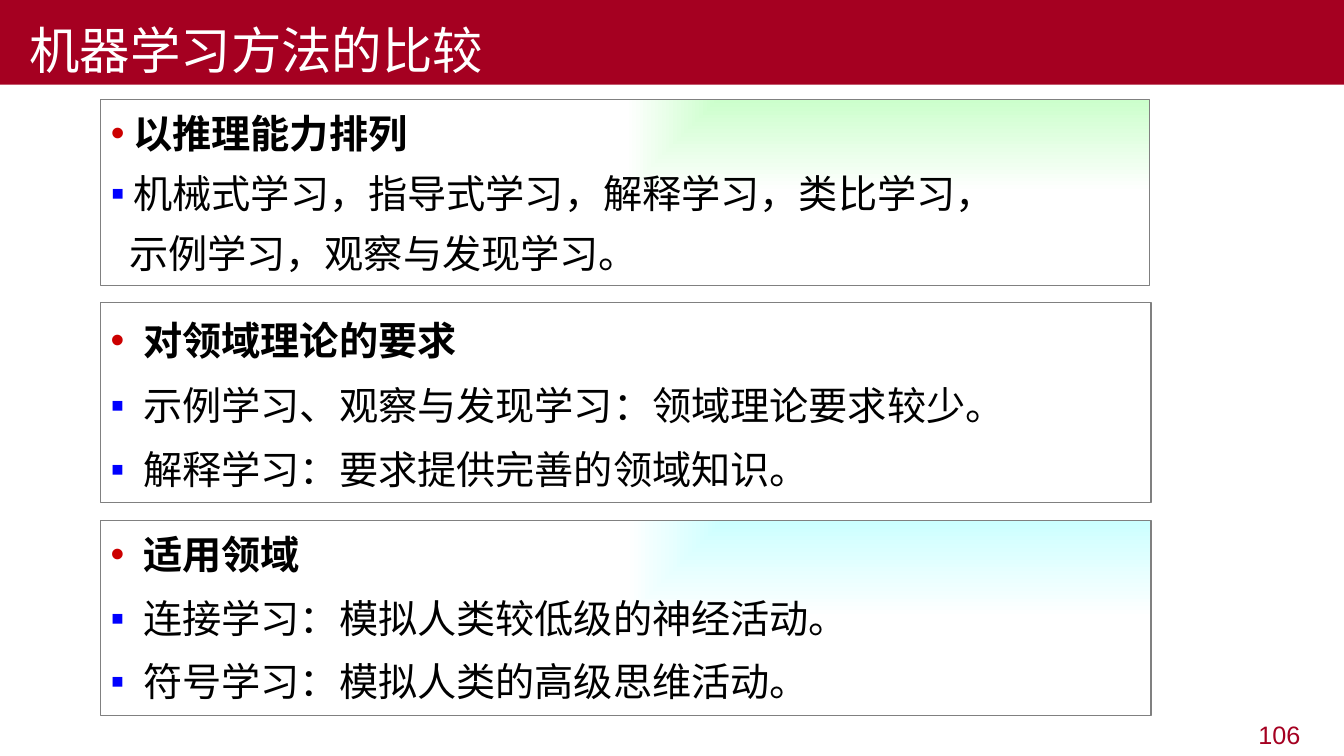
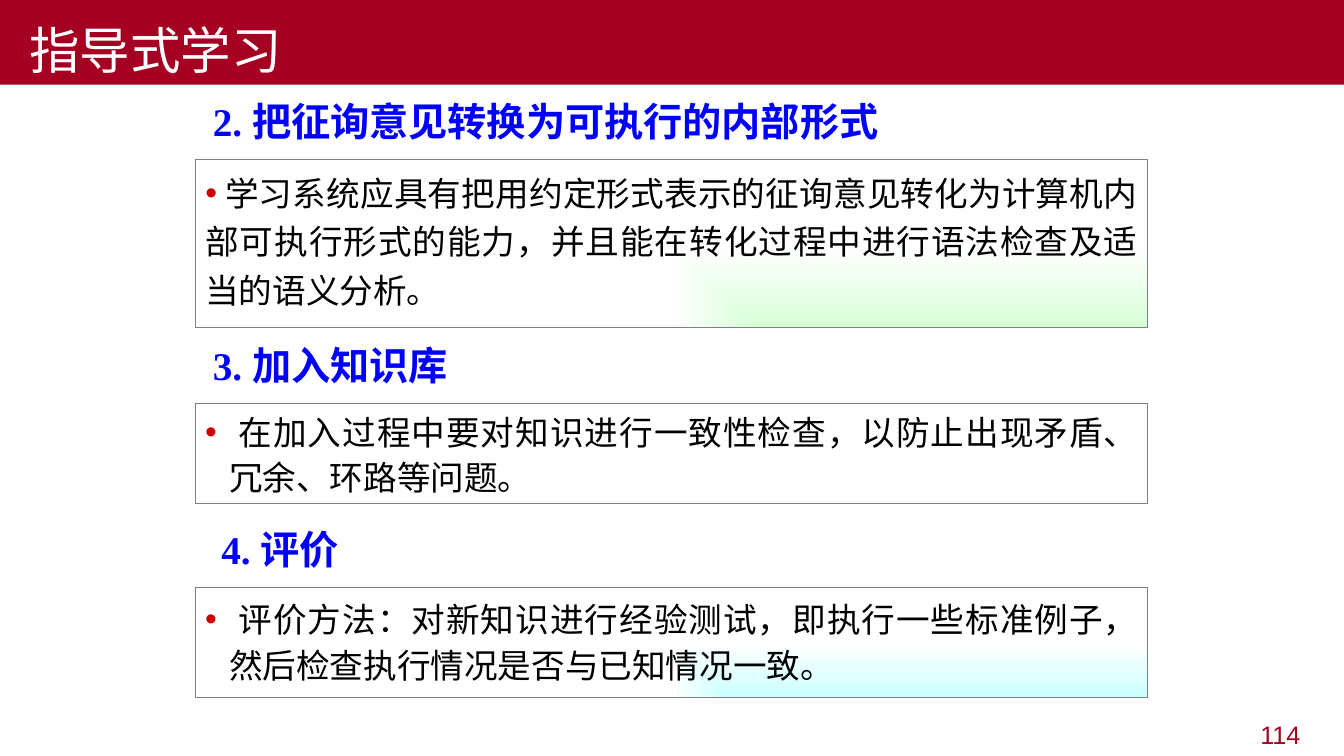
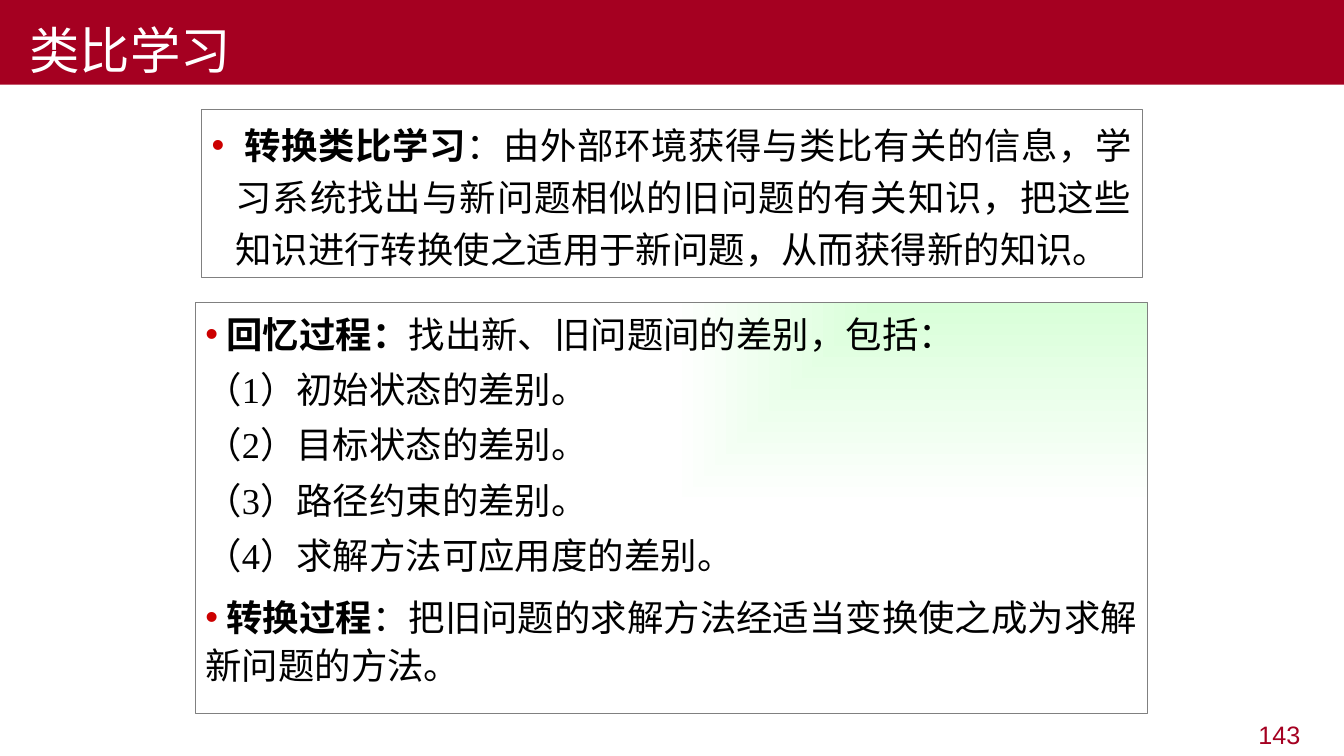
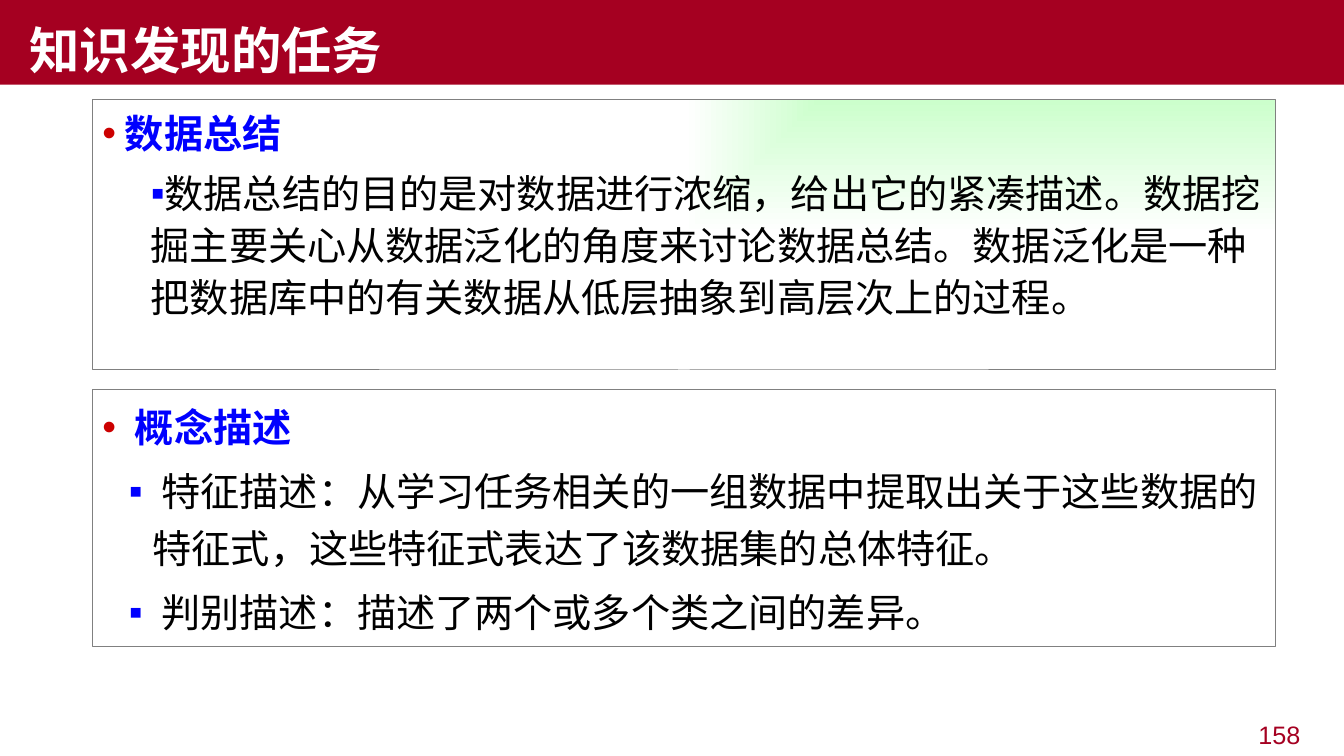
from lxml.etree import SubElement
from pptx import Presentation
from pptx.dml.color import RGBColor
from pptx.enum.shapes import MSO_SHAPE
from pptx.enum.text import MSO_ANCHOR, MSO_AUTO_SIZE, PP_ALIGN
from pptx.oxml.ns import qn
from pptx.util import Pt

# Shared look
RED, BLUE, BLACK, WHITE = "A50021", "0000FF", "000000", "FFFFFF"
GREEN, PALE_GREEN, CYAN = "CCFFCC", "D9FFD9", "CCFFFF"
CJK, SERIF, SANS = "Noto Sans CJK SC", "Times New Roman", "Arial"
BULLET_COLORS = {"•": "CC0000", "▪": BLUE}
TOP_RIGHT, BOTTOM_RIGHT = {"l": "100000", "b": "100000"}, {"l": "100000", "t": "100000"}
LEFT, JUSTIFY = PP_ALIGN.LEFT, PP_ALIGN.JUSTIFY
HANG = 17  # hanging indent of a bullet


def rgb(value):
    return RGBColor.from_string(value)


def write(p, runs, size, font, spacing=1, before=0, align=LEFT, bullet=None, left=0, hang=0):
    """Fill a paragraph; runs are (text, bold, colour)."""
    pPr = p._p.get_or_add_pPr()
    pPr.set("marL", str(Pt(left)))
    pPr.set("indent", str(-Pt(hang)))
    if bullet:
        color = SubElement(pPr, qn("a:buClr"))
        SubElement(color, qn("a:srgbClr")).set("val", BULLET_COLORS[bullet])
        SubElement(pPr, qn("a:buFont")).set("typeface", SANS)
        SubElement(pPr, qn("a:buChar")).set("char", bullet)
    else:
        SubElement(pPr, qn("a:buNone"))
    p.alignment = align
    p.line_spacing = Pt(round(1.2 * size * spacing, 1))
    p.space_before = Pt(round(before * size, 1))
    for text, bold, color in runs:
        r = p.add_run()
        r.text = text
        r.font.size, r.font.bold, r.font.name = Pt(size), bold, font
        r.font.color.rgb = rgb(color)
        SubElement(r._r.get_or_add_rPr(), qn("a:ea")).set("typeface", CJK)


# Content
# box: (x, y, w, h), (tint, focus) or None, size, font, line spacing, alignment, paragraphs
# paragraph: bullet, left, hang, space before, runs
# The first box of a slide is its body placeholder.
slides = [
    dict(title="机器学习方法的比较", bold=False, number="106", headings=[], boxes=[
        ((72, 71.3, 748.8, 132.5), (GREEN, TOP_RIGHT), 28, CJK, 1.1, LEFT, [
            ("•", 0, 0, 0, [(" 以推理能力排列", True, BLACK)]),
            ("▪", 0, 0, 0.2, [(" 机械式学习，指导式学习，解释学习，类比学习，", False, BLACK)]),
            (None, 13, 0, 0.2, [("示例学习，观察与发现学习。", False, BLACK)]),
        ]),
        ((72, 216, 750.2, 142.6), None, 28, CJK, 1.2, LEFT, [
            ("•", HANG, HANG, 0, [(" 对领域理论的要求", True, BLACK)]),
            ("▪", HANG, HANG, 0.2, [(" 示例学习、观察与发现学习：领域理论要求较少。", False, BLACK)]),
            ("▪", HANG, HANG, 0.2, [(" 解释学习：要求提供完善的领域知识。", False, BLACK)]),
        ]),
        ((72, 372, 750.2, 139), (CYAN, TOP_RIGHT), 28, CJK, 1.1, LEFT, [
            ("•", HANG, HANG, 0, [(" 适用领域", True, BLACK)]),
            ("▪", HANG, HANG, 0.3, [(" 连接学习：模拟人类较低级的神经活动。", False, BLACK)]),
            ("▪", HANG, HANG, 0.3, [(" 符号学习：模拟人类的高级思维活动。", False, BLACK)]),
        ]),
    ]),
    dict(title="指导式学习", bold=False, number="114", headings=[
        (145, 66, "2. 把征询意见转换为可执行的内部形式"),
        (145, 240, "3. 加入知识库"),
        (151, 372, "4. 评价"),
    ], boxes=[
        ((139.5, 114, 680.5, 120), (PALE_GREEN, BOTTOM_RIGHT), 24, SERIF, 1.2, JUSTIFY, [
            ("•", 0, 0, 0, [(" 学习系统应具有把用约定形式表示的征询意见转化为计算机内部可执行形式的能力，"
                             "并且能在转化过程中进行语法检查及适当的语义分析。", False, BLACK)]),
        ]),
        ((139.5, 288, 680.5, 72), None, 24, SERIF, 1.1, JUSTIFY, [
            ("•", HANG, HANG, 0, [(" 在加入过程中要对知识进行一致性检查，以防止出现矛盾、"
                                   "冗余、环路等问题。", False, BLACK)]),
        ]),
        ((139.5, 420, 680.5, 78), (CYAN, BOTTOM_RIGHT), 24, CJK, 1.15, JUSTIFY, [
            ("•", HANG, HANG, 0, [(" 评价方法：对新知识进行经验测试，即执行一些标准例子，"
                                   "然后检查执行情况是否与已知情况一致。", False, BLACK)]),
        ]),
    ]),
    dict(title="类比学习", bold=False, number="143", headings=[], boxes=[
        ((139.5, 216, 680.5, 294), (PALE_GREEN, TOP_RIGHT), 26, SERIF, 1.1, JUSTIFY, [
            ("•", 0, 0, 0, [(" 回忆过程：", True, BLACK),
                            ("找出新、旧问题间的差别，包括：", False, BLACK)]),
            *[(None, 0, 0, 0.2, [(f"（{i}）{item}的差别。", False, BLACK)])
              for i, item in enumerate(["初始状态", "目标状态", "路径约束", "求解方法可应用度"], 1)],
            ("•", 0, 0, 0.4, [(" 转换过程", True, BLACK),
                              ("：把旧问题的求解方法经适当变换使之成为求解新问题的方法。", False, BLACK)]),
        ]),
        ((144, 78, 672, 120), None, 26, CJK, 1.2, JUSTIFY, [
            ("•", HANG, HANG, 0, [
                (" 转换类比学习", True, BLACK),
                ("：由外部环境获得与类比有关的信息，学习系统找出与新问题相似的旧问题的有关知识，"
                 "把这些知识进行转换使之适用于新问题，从而获得新的知识。", False, BLACK)]),
        ]),
    ]),
    dict(title="知识发现的任务", bold=True, number="158", headings=[], boxes=[
        ((66, 71.3, 845, 193), (GREEN, TOP_RIGHT), 28, CJK, 1.1, LEFT, [
            ("•", 0, 0, 0, [(" 数据总结", True, BLUE)]),
            ("▪", 34.5, 0, 0.2, [
                ("数据总结的目的是对数据进行浓缩，给出它的紧凑描述。数据挖掘主要关心从数据泛化的角度来讨论数据总结。"
                 "数据泛化是一种把数据库中的有关数据从低层抽象到高层次上的过程。", False, BLACK)]),
        ]),
        ((66, 278, 845, 183.6), None, 28, CJK, 1.2, LEFT, [
            ("•", HANG, HANG, 0, [(" 概念描述", True, BLUE)]),
            ("▪", 36, HANG, 0.2, [
                (" 特征描述：从学习任务相关的一组数据中提取出关于这些数据的特征式，"
                 "这些特征式表达了该数据集的总体特征。", False, BLACK)]),
            ("▪", 36, HANG, 0.2, [(" 判别描述：描述了两个或多个类之间的差异。", False, BLACK)]),
        ]),
    ]),
]

prs = Presentation()
prs.slide_width, prs.slide_height = Pt(960), Pt(540)

for content in slides:
    s = prs.slides.add_slide(prs.slide_layouts[1])

    # Title band
    title, body = s.placeholders
    title.left, title.top, title.width, title.height = Pt(0), Pt(0), Pt(960), Pt(60.5)
    title.fill.solid()
    title.fill.fore_color.rgb = rgb(RED)
    tf = title.text_frame
    tf.auto_size, tf.vertical_anchor, tf.margin_left = MSO_AUTO_SIZE.NONE, MSO_ANCHOR.BOTTOM, Pt(21)
    write(tf.paragraphs[0], [(content["title"], content["bold"], WHITE)], 36, SERIF)

    # Page number
    tf = s.shapes.add_textbox(Pt(728), Pt(510), Pt(208), Pt(28)).text_frame
    tf.word_wrap = True
    write(tf.paragraphs[0], [(content["number"], False, RED)], 18, SANS, align=PP_ALIGN.RIGHT)

    # Numbered headings
    for x, y, text in content["headings"]:
        tf = s.shapes.add_textbox(Pt(x), Pt(y), Pt(516), Pt(41)).text_frame
        tf.word_wrap = True
        write(tf.paragraphs[0], [(text, True, BLUE)], 28, SERIF)

    # Framed text boxes
    for i, (place, tint, size, font, spacing, align, paragraphs) in enumerate(content["boxes"]):
        x, y, w, h = [Pt(v) for v in place]
        if i == 0:
            sp = body
            sp.left, sp.top, sp.width, sp.height = x, y, w, h
        else:
            sp = s.shapes.add_shape(MSO_SHAPE.RECTANGLE, x, y, w, h)
            sp.shadow.inherit = False
        if tint:
            color, focus = tint
            sp.fill.gradient()
            for stop, value in zip(sp.fill.gradient_stops, (color, WHITE)):
                stop.color.rgb = rgb(value)
            grad = sp._element.spPr.find(qn("a:gradFill"))
            grad.remove(grad.find(qn("a:lin")))
            shade = SubElement(grad, qn("a:path"), {"path": "rect"})
            SubElement(shade, qn("a:fillToRect"), focus)
        else:
            sp.fill.solid()
            sp.fill.fore_color.rgb = rgb(WHITE)
        sp.line.color.rgb = rgb("808080")
        sp.line.width = Pt(0.75)
        tf = sp.text_frame
        tf.word_wrap, tf.auto_size, tf.vertical_anchor = True, MSO_AUTO_SIZE.NONE, MSO_ANCHOR.TOP
        for j, (bullet, left, hang, before, runs) in enumerate(paragraphs):
            p = tf.add_paragraph() if j else tf.paragraphs[0]
            write(p, runs, size, font, spacing, before, align, bullet, left, hang)

prs.save("out.pptx")
